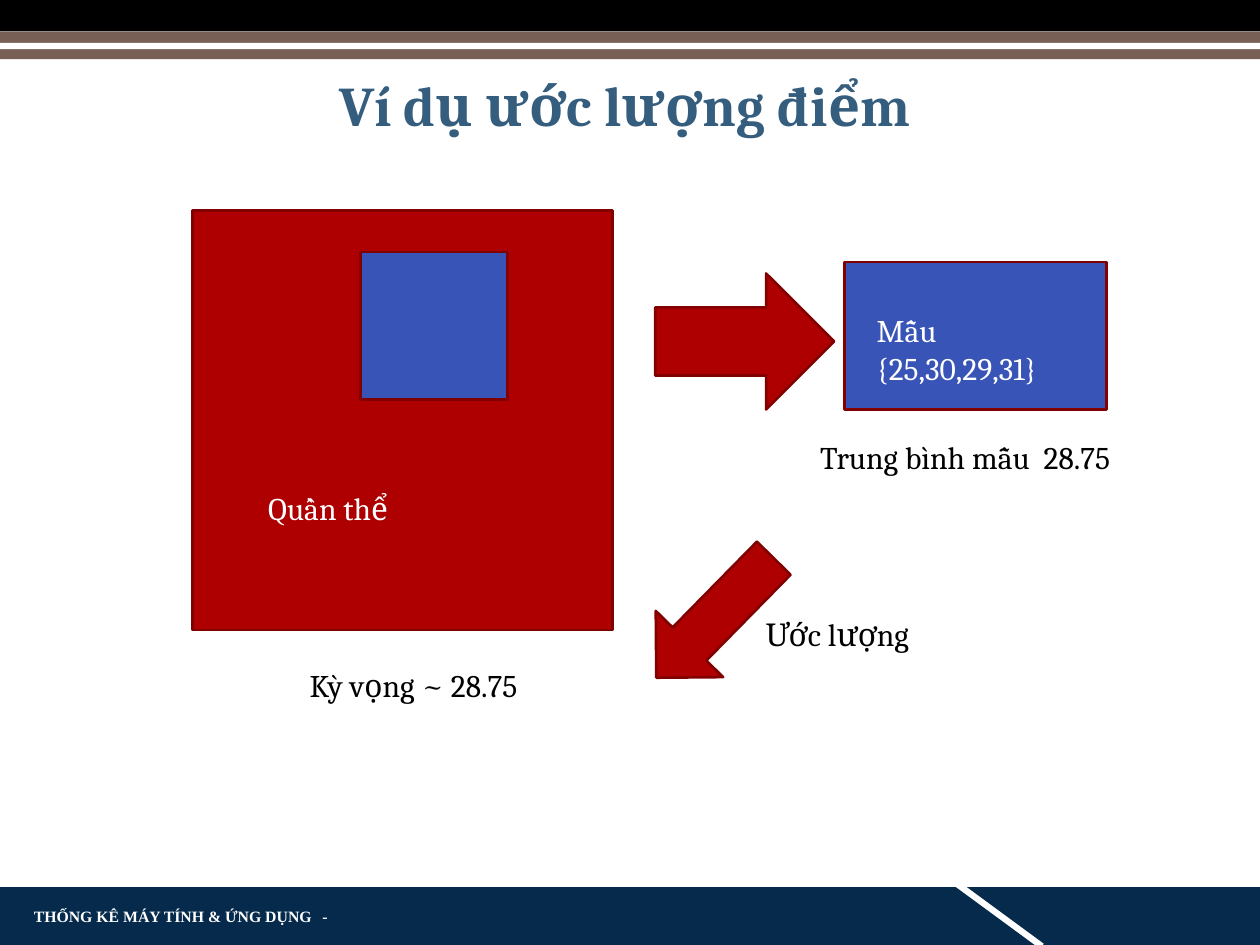
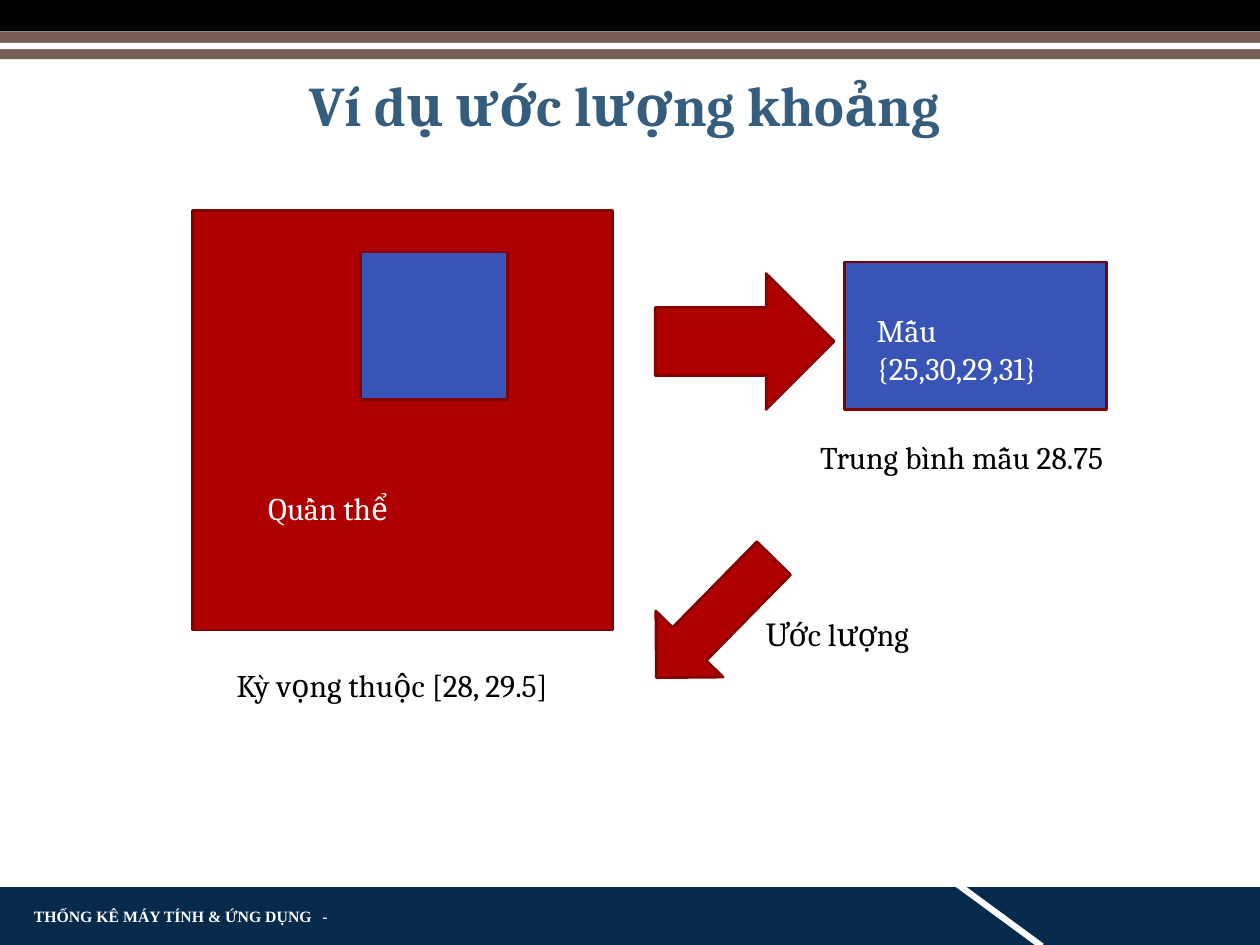
from lxml import etree
from pptx import Presentation
from pptx.dml.color import RGBColor
from pptx.enum.shapes import MSO_SHAPE
from pptx.enum.text import MSO_ANCHOR, PP_ALIGN
from pptx.oxml.ns import qn
from pptx.util import Inches, Pt

RECT = MSO_SHAPE.RECTANGLE
RIGHT_ARROW = MSO_SHAPE.RIGHT_ARROW
DOWN_ARROW = MSO_SHAPE.DOWN_ARROW
TOP, MIDDLE = MSO_ANCHOR.TOP, MSO_ANCHOR.MIDDLE
LEFT, CENTER = PP_ALIGN.LEFT, PP_ALIGN.CENTER

NAVY = RGBColor(0x05, 0x2A, 0x4B)
BLACK = RGBColor(0, 0, 0)
WHITE = RGBColor(0xFF, 0xFF, 0xFF)
BROWN = RGBColor(0x77, 0x5F, 0x55)
TITLE_BLUE = RGBColor(0x35, 0x5D, 0x7E)
RED = RGBColor(0xAE, 0, 0)
DARK_RED = RGBColor(0x81, 0, 0)
SAMPLE_BLUE = RGBColor(0x38, 0x54, 0xB6)

TITLE_FONT = {"name": "Cambria", "size": Pt(32), "bold": True}
LABEL_FONT = {"name": "Cambria", "size": Pt(18)}
FOOTER_FONT = {"name": "Times New Roman", "size": Pt(9), "bold": True}

# Bands on every slide: box, fill, rotation
BANDS = [
    ((0, 7.04, 10, 0.46), NAVY, 0),
    ((7.52, 7.24, 0.83, 0.05), WHITE, 36.3),
    ((0, 0, 10, 0.25), BLACK, 0),
    ((0, 0.25, 10, 0.22), BROWN, 0),
    ((0, 0.34, 10, 0.05), WHITE, 0),
]

# Sampling diagram: preset, box, fill, rotation
DIAGRAM = [
    (RECT, (1.53, 1.67, 3.33, 3.33), RED, 0),
    (RECT, (2.86, 2, 1.17, 1.17), SAMPLE_BLUE, 0),
    (RECT, (6.7, 2.08, 2.08, 1.17), SAMPLE_BLUE, 0),
    (DOWN_ARROW, (5.3, 4.24, 0.75, 1.33), RED, 44.5),
    (RIGHT_ARROW, (5.2, 2.17, 1.42, 1.08), RED, 0),
]
DIAGRAM_LABELS = [
    ("Quần thể", (2.03, 3.83, 3.08, 0.4), WHITE),
    ("Mẫu {25,30,29,31}", (6.86, 2.42, 1.67, 0.71), WHITE),
    ("Ước lượng", (5.98, 4.83, 2.02, 0.4), BLACK),
]

# What differs: title, sample mean, estimate, left edge of the estimate
EXAMPLES = [
    ("Ví dụ ước lượng điểm", "Trung bình mẫu  28.75", "Kỳ vọng ~ 28.75", 2.36),
    ("Ví dụ ước lượng khoảng", "Trung bình mẫu 28.75", "Kỳ vọng thuộc [28, 29.5]", 1.78),
]


def add_block(slide, preset, box, fill, rotation=0, outline=None):
    block = slide.shapes.add_shape(preset, *map(Inches, box))
    block.shadow.inherit = False
    block.rotation = rotation
    block.fill.solid()
    block.fill.fore_color.rgb = fill
    if outline is None:
        block.line.fill.background()
    else:
        block.line.color.rgb = outline
        block.line.width = Pt(1.5)


def add_text(slide, text, box, color, font_format, align=LEFT, anchor=TOP):
    frame = slide.shapes.add_textbox(*map(Inches, box)).text_frame
    frame.word_wrap = True
    frame.vertical_anchor = anchor
    paragraph = frame.paragraphs[0]
    paragraph.alignment = align
    run = paragraph.add_run()
    run.text = text
    run.font.color.rgb = color
    for attribute, value in font_format.items():
        setattr(run.font, attribute, value)
    return paragraph


prs = Presentation()
prs.slide_width, prs.slide_height = Inches(10), Inches(7.5)

for title, sample_mean, estimate, estimate_left in EXAMPLES:
    slide = prs.slides.add_slide(prs.slide_layouts[6])

    # Bands and footer
    for box, fill, rotation in BANDS:
        add_block(slide, RECT, box, fill, rotation)
    footer = add_text(slide, "THỐNG KÊ MÁY TÍNH & ỨNG DỤNG\t- ", (0.17, 7.17, 2.58, 0.2),
                      WHITE, FOOTER_FONT, anchor=MIDDLE)
    tab_stops = etree.SubElement(footer._p.get_or_add_pPr(), qn("a:tabLst"))
    etree.SubElement(tab_stops, qn("a:tab"), pos=str(Inches(2.29)), algn="l")

    # Title
    heading = add_text(slide, title, (1.01, 0.57, 7.9, 0.93), TITLE_BLUE, TITLE_FONT, CENTER)
    heading.line_spacing = 0.9

    # Population, sample and the arrows between them
    for preset, box, fill, rotation in DIAGRAM:
        add_block(slide, preset, box, fill, rotation, DARK_RED)

    # Labels
    results = [
        (sample_mean, (6.41, 3.43, 2.55, 0.71), BLACK),
        (estimate, (estimate_left, 5.24, 3.08, 0.4), BLACK),
    ]
    for text, box, color in DIAGRAM_LABELS + results:
        add_text(slide, text, box, color, LABEL_FONT)

prs.save("out.pptx")
